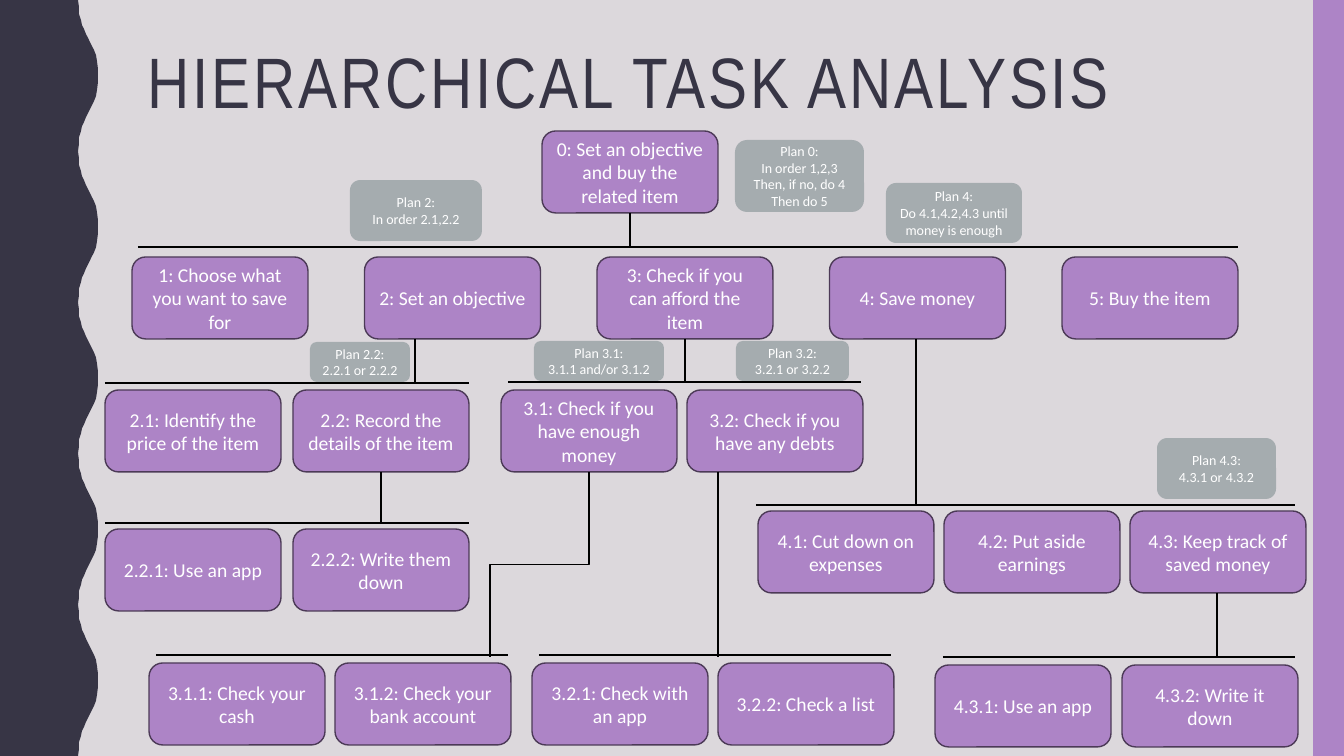
from lxml import etree
from pptx import Presentation
from pptx.dml.color import RGBColor
from pptx.enum.shapes import MSO_CONNECTOR, MSO_SHAPE
from pptx.enum.text import MSO_ANCHOR, PP_ALIGN
from pptx.oxml.ns import qn
from pptx.util import Emu, Pt

# Content: lengths in px on a 1344 x 756 slide
W, H = 1344, 756
COLORS = dict(bg="DCD8DC", dark="373545", task="AD84C6", edge="4C3A57",
              plan="6F8183", line="000000", text="FFFFFF")
TITLE = "HIERARCHICAL TASK ANALYSIS"
BOX_W, BOX_H = 176, 82

# Sibling groups: top, left of first box, left of last box, texts
TASKS = [
    (131, 542, 542, ["0: Set an objective and buy the related item"]),
    (257, 132, 1062, ["1: Choose what you want to save for", "2: Set an objective",
                      "3: Check if you can afford the item", "4: Save money",
                      "5: Buy the item"]),
    (390, 105, 293, ["2.1: Identify the price of the item",
                     "2.2: Record the details of the item"]),
    (390, 501, 687, ["3.1: Check if you have enough money",
                     "3.2: Check if you have any debts"]),
    (511, 758, 1130, ["4.1: Cut down on expenses", "4.2: Put aside earnings",
                      "4.3: Keep track of saved money"]),
    (529, 105, 293, ["2.2.1: Use an app", "2.2.2: Write them down"]),
    (663, 149, 335, ["3.1.1: Check your cash", "3.1.2: Check your bank account"]),
    (663, 532, 718, ["3.2.1: Check with an app", "3.2.2: Check a list"]),
    (665, 935, 1122, ["4.3.1: Use an app", "4.3.2: Write it down"]),
]

# Plans: left, top, width, height, paragraphs
PLANS = [
    (735, 140, 129, 72, ["Plan 0:\nIn order 1,2,3 Then, if no, do 4 Then do 5"]),
    (350, 180, 132, 61, ["Plan 2:\nIn order 2.1,2.2"]),
    (1157, 438, 119, 61, ["Plan 4.3:", "4.3.1 or 4.3.2"]),
    (886, 183, 136, 60, ["Plan 4:\nDo 4.1,4.2,4.3 until money is enough"]),
    (310, 342, 100, 40, ["Plan 2.2:\n2.2.1 or 2.2.2"]),
    (534, 341, 130, 40, ["Plan 3.1:", "3.1.1 and/or 3.1.2"]),
    (736, 341, 113, 40, ["Plan 3.2:", "3.2.1 or 3.2.2"]),
]

BARS = [  # left, right, y
    (138, 1238, 247), (105, 469, 383), (508, 861, 382), (756, 1295, 505),
    (105, 469, 523), (156, 508, 655), (539, 891, 655), (943, 1295, 657),
]
STEMS = [  # x, top, bottom
    (630, 213, 247), (415, 339, 383), (685, 339, 383), (381, 472, 523),
    (718, 472, 657), (916, 339, 505), (1217, 593, 657),
]
ELBOW = (589, 472, 490, 657)  # start x, y, end x, y

# Half a wave of the left edge: x, y
WAVES = 5
HALF_WAVE = [(78, 0), (79, 7), (79, 14), (81, 20), (82, 25), (84, 29), (86, 34),
             (88, 38), (90, 42), (92, 46), (94, 50), (96, 55), (97, 61), (98, 69),
             (98, 76)]


def px(n):
    return Emu(round(n * 914400 / 100.8))


def rgb(name):
    return RGBColor.from_string(COLORS[name])


def add_run(p, text, size, color, font="Calibri"):
    r = p.add_run()
    r.text = text
    r.font.size, r.font.name = Pt(size), font
    r.font.color.rgb = rgb(color)
    return r


def paint(sp, fill, edge=None):
    sp.shadow.inherit = False
    sp.fill.solid()
    sp.fill.fore_color.rgb = rgb(fill)
    if edge:
        sp.line.color.rgb = rgb(edge)
        sp.line.width = Pt(1)
    else:
        sp.line.fill.background()


def add_box(kind, x, y, w, h, fill, edge=None):
    sp = s.shapes.add_shape(kind, px(x), px(y), px(w), px(h))
    paint(sp, fill, edge)
    return sp


def write(sp, paragraphs, size):
    tf = sp.text_frame
    tf.word_wrap = True
    tf.vertical_anchor = MSO_ANCHOR.MIDDLE
    for i, text in enumerate(paragraphs):
        p = tf.add_paragraph() if i else tf.paragraphs[0]
        p.alignment = PP_ALIGN.CENTER
        for j, part in enumerate(text.split("\n")):
            if j:
                p.add_line_break()
            add_run(p, part, size, "text")


def add_line(x1, y1, x2, y2, kind=MSO_CONNECTOR.STRAIGHT):
    c = s.shapes.add_connector(kind, px(x1), px(y1), px(x2), px(y2))
    c.line.color.rgb = rgb("line")
    c.line.width = Pt(1)
    etree.SubElement(c._element.spPr, qn("a:effectLst"))
    return c


prs = Presentation()
prs.slide_width, prs.slide_height = px(W), px(H)
s = prs.slides.add_slide(prs.slide_layouts[6])
s.background.fill.solid()
s.background.fill.fore_color.rgb = rgb("bg")

# Wavy left edge and right strip
wave = H / WAVES
full_wave = HALF_WAVE + [(x, wave - y) for x, y in HALF_WAVE[-2::-1]]
edge = [(px(x), px(k * wave + y)) for k in range(WAVES) for x, y in full_wave]
fb = s.shapes.build_freeform(0, 0, scale=1.0)
fb.add_line_segments(edge + [(0, px(H))], close=True)
paint(fb.convert_to_shape(), "dark")
add_box(MSO_SHAPE.RECTANGLE, 1313, 0, 31, H, "task")

# Title
tf = s.shapes.add_textbox(px(138), px(42), px(1122), px(164)).text_frame
tf.word_wrap = True
p = tf.paragraphs[0]
p.line_spacing = 0.9
r = add_run(p, TITLE, 51, "dark", "Arial Narrow")
r.font._element.set("spc", "200")

# Tasks, evenly spaced within each group
for top, first, last, texts in TASKS:
    step = (last - first) / max(len(texts) - 1, 1)
    for i, text in enumerate(texts):
        sp = add_box(MSO_SHAPE.ROUNDED_RECTANGLE, first + i * step, top,
                     BOX_W, BOX_H, "task", "edge")
        write(sp, [text], 14)

# Lines of the tree
for left, right, y in BARS:
    add_line(left, y, right, y)
for x, top, bottom in STEMS:
    add_line(x, top, x, bottom)

# Elbow turned by 90 degrees about its centre, so that it leaves downwards
x1, y1, x2, y2 = ELBOW
cx, cy = (x1 + x2) / 2, (y1 + y2) / 2
half_w, half_h = (y2 - y1) / 2, (x1 - x2) / 2
elbow = add_line(cx - half_w, cy - half_h, cx + half_w, cy + half_h,
                 MSO_CONNECTOR.ELBOW)
elbow._element.spPr.find(qn("a:xfrm")).set("rot", "5400000")

# Plans, half transparent
for x, y, w, h, paragraphs in PLANS:
    sp = add_box(MSO_SHAPE.ROUNDED_RECTANGLE, x, y, w, h, "plan")
    color = sp._element.spPr.find(qn("a:solidFill"))[0]
    etree.SubElement(color, qn("a:alpha"), val="50000")
    write(sp, paragraphs, 10)

prs.save("out.pptx")
